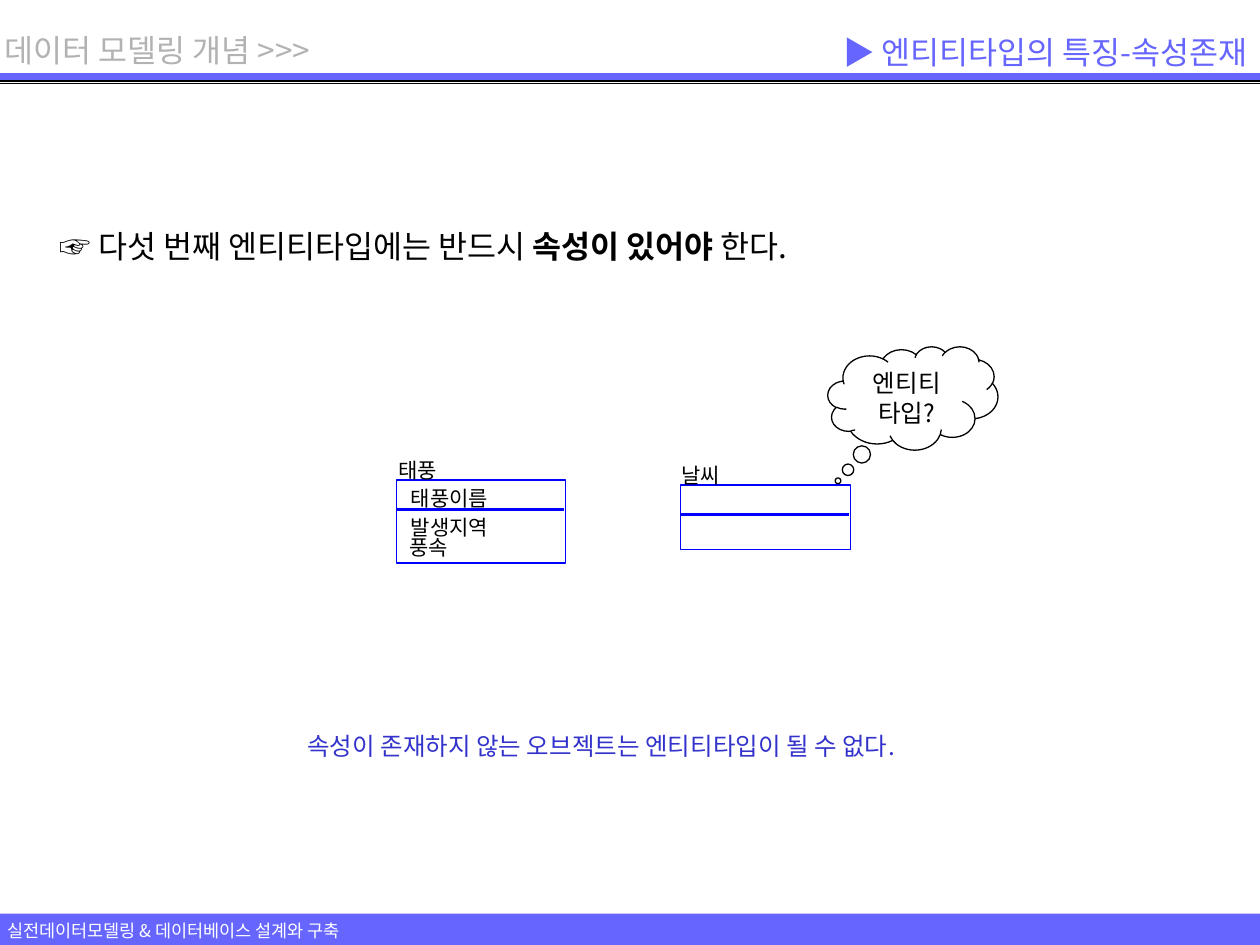
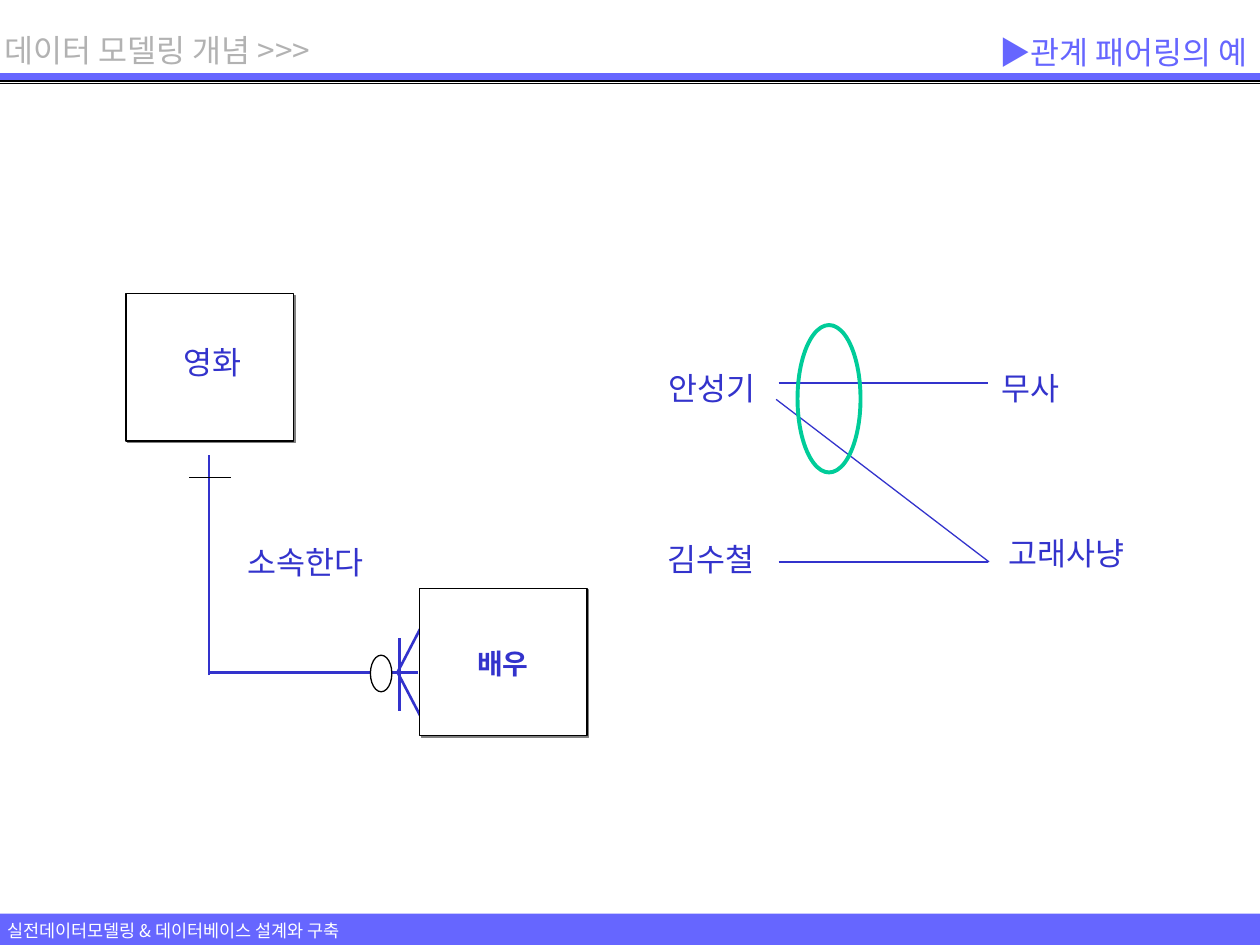
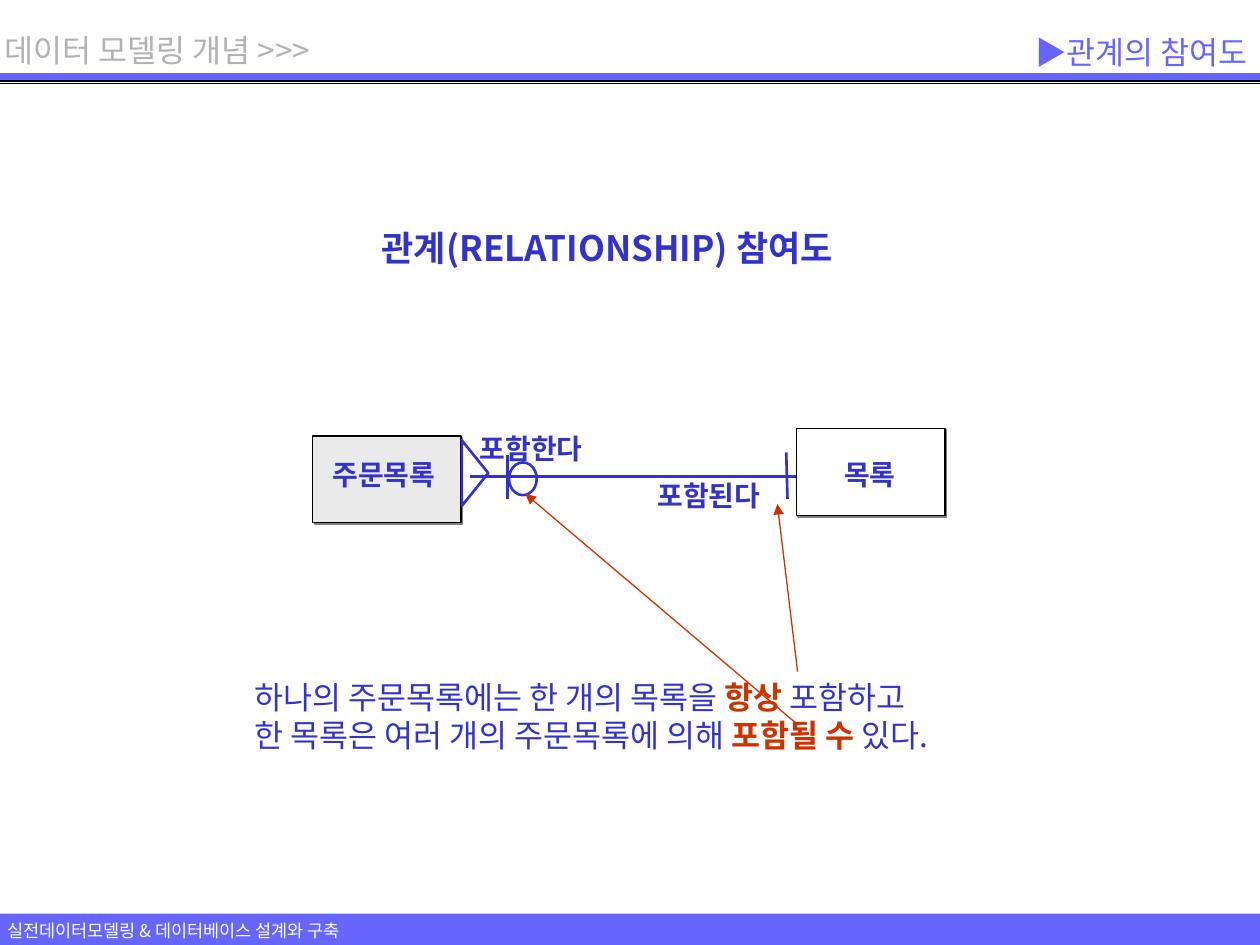
from lxml.etree import SubElement as Sub
from pptx import Presentation
from pptx.dml.color import RGBColor as Rgb
from pptx.enum.shapes import MSO_CONNECTOR as Wire, MSO_SHAPE as Form
from pptx.enum.text import MSO_ANCHOR as Anchor, MSO_AUTO_SIZE as Fit, PP_ALIGN as Align
from pptx.oxml.ns import qn
from pptx.util import Inches, Pt


class Theme:
    font = "Noto Sans CJK KR"
    band, ink, grey = "6666FF", "3333CC", "B2B2B2"
    black, white, blue = "000000", "FFFFFF", "0000FF"
    green, red, shade, pale = "00CC99", "CC3300", "808080", "EAEAEA"
    foot, label, note, name, body, head = 10, 12, 14, 16, 18, 20
    hair, thin, mid, thick = 0, 0.75, 1.5, 2.25


# Grid: 100 columns by 75 rows of square cells
deck = Presentation()
deck.slide_width, deck.slide_height = Inches(10), Inches(7.5)
COLS, ROWS = 100, 75
CELL = deck.slide_width // COLS


def box(page, form, place, *paras, fill=None, line=None, wide=Theme.thin, shade=False,
        size=Theme.body, ink=Theme.ink, strong=None, bold=False, align=Align.LEFT,
        anchor=Anchor.TOP, wrap=False, fit=Fit.SHAPE_TO_FIT_TEXT, pad=(1, 0.5), turn=0):
    """Draw a shape, or a text box if form is None; every second run is strong."""
    spot = [round(n * CELL) for n in place]
    if form is None:
        shape = page.shapes.add_textbox(*spot)
    else:
        shape = page.shapes.add_shape(form, *spot)
        shape.shadow.inherit = False
        shape.rotation = turn
        if fill:
            shape.fill.solid()
            shape.fill.fore_color.rgb = Rgb.from_string(fill)
        else:
            shape.fill.background()
        if line:
            shape.line.color.rgb = Rgb.from_string(line)
            shape.line.width = Pt(wide)
        else:
            shape.line.fill.background()
    if shade:
        effect = shape._element.spPr.find(qn("a:effectLst"))
        cast = Sub(effect, qn("a:outerShdw"), dist=str(Pt(1.4)), dir="2700000", algn="ctr", rotWithShape="0")
        Sub(cast, qn("a:srgbClr"), val=Theme.shade)
    if not paras:
        return shape
    frame = shape.text_frame
    side, top = [round(n * CELL) for n in pad]
    look = dict(margin_left=side, margin_right=side, margin_top=top, margin_bottom=top,
                word_wrap=wrap, auto_size=fit, vertical_anchor=anchor)
    for key, value in look.items():
        setattr(frame, key, value)
    for row, runs in enumerate(paras):
        para = frame.add_paragraph() if row else frame.paragraphs[0]
        para.alignment = align
        for nth, text in enumerate([runs] if isinstance(runs, str) else runs):
            run = para.add_run()
            run.text = text
            hue = strong if strong and nth % 2 else ink
            run.font.color.rgb = Rgb.from_string(hue)
            for key, value in dict(name=Theme.font, size=Pt(size), bold=bold or nth % 2 == 1).items():
                setattr(run.font, key, value)
            # Even spacing: no pair kerning
            run._r.rPr.set("kern", "0")
            Sub(run._r.rPr, qn("a:ea"), typeface=Theme.font)
    return shape


def rule(page, ends, ink=Theme.ink, wide=Theme.mid, head=False):
    """Draw a straight line, with an arrowhead at its start if asked."""
    wire = page.shapes.add_connector(Wire.STRAIGHT, *[round(n * CELL) for n in ends])
    wire.line.color.rgb = Rgb.from_string(ink)
    wire.line.width = Pt(wide)
    if head:
        Sub(wire.line._get_or_add_ln(), qn("a:headEnd"), type="triangle")
    Sub(wire._element.spPr, qn("a:effectLst"))


# Shared bands, footer and titles
titles = ["▶ 엔티티타입의 특징-속성존재", "▶관계 패어링의 예", "▶관계의 참여도"]
pages = []
for title in titles:
    page = deck.slides.add_slide(deck.slide_layouts[6])
    pages.append(page)
    for top, high in ((72.5, 2.5), (5.8, 0.6)):
        box(page, Form.RECTANGLE, (0, top, COLS, high), fill=Theme.band)
    for y in (6.38, 6.45, 6.62):
        rule(page, (0, y, COLS, y), Theme.black, Theme.thin)
    box(page, None, (-0.4, 72.5, 31.4, 2.7), "실전데이터모델링 & 데이터베이스 설계와 구축",
        size=Theme.foot, ink=Theme.white)
    box(page, None, (-0.6, 1.95, 28.4, 4), "데이터 모델링 개념 >>>", ink=Theme.grey)
    box(page, None, (COLS / 2, 1.95, COLS / 2, 4.3), title, ink=Theme.band,
        align=Align.RIGHT, anchor=Anchor.MIDDLE, fit=Fit.NONE)
trait, pair, part = pages

# Slide 1: an entity type needs attributes
box(trait, Form.RECTANGLE, (3.75, 17.5, 92.5, 4),
    ("☞ 다섯 번째 엔티티타입에는 반드시 ", "속성이 있어야", " 한다."),
    fill=Theme.white, ink=Theme.black, wrap=True)
tables = [
    ("태풍", 31.5, 38.1, 13.4, 6.6),
    ("날씨", 54, 38.5, 13.5, 5.1),
]
tag = dict(size=Theme.label, ink=Theme.black, pad=(0, 0))
for name, x, y, wide, high in tables:
    box(trait, Form.RECTANGLE, (x, y, wide, high),
        fill=Theme.white, line=Theme.blue, wide=Theme.hair)
    box(trait, None, (x + 0.1, y - 1.8, 3.4, 2), name, **tag)
    rule(trait, (x, y + 2.35, x + wide - 0.1, y + 2.35), Theme.blue, Theme.hair)
for field, x, y, wide in (("태풍이름", 32.6, 38.5, 6.5), ("발생지역", 32.6, 40.8, 6.5),
                          ("풍속", 32.5, 42.4, 3.4)):
    box(trait, None, (x, y, wide, 2), field, **tag)
cloud = box(trait, Form.CLOUD_CALLOUT, (65.7, 27.5, 13.5, 8.2), "엔티티타입?",
            fill=Theme.white, line=Theme.black, size=Theme.note, ink=Theme.black,
            align=Align.CENTER, wrap=True, fit=Fit.NONE)
for nth, value in enumerate((-0.44, 0.8)):
    cloud.adjustments[nth] = value
box(trait, None, (23.4, 57.5, 53.5, 3.4),
    "속성이 존재하지 않는 오브젝트는 엔티티타입이 될 수 없다.", size=Theme.note)

# Slide 2: relationship between film and actor
box(pair, Form.ISOSCELES_TRIANGLE, (28.3, 52.2, 8.8, 2.3), line=Theme.ink, wide=Theme.mid, turn=270)
for ends in ((16.6, 53.4, 33.2, 53.4), (31.7, 56.4, 31.7, 50.6), (16.6, 53.6, 16.6, 36.1)):
    rule(pair, ends)
rule(pair, (15, 37.9, 18.3, 37.9), Theme.black, Theme.thin)
for x, y in ((10, 23.3), (33.3, 46.7)):
    box(pair, Form.RECTANGLE, (x, y, 13.3, 11.7), fill=Theme.white, line=Theme.black, shade=True)
box(pair, Form.OVAL, (29.4, 52, 1.7, 2.9), fill=Theme.white, line=Theme.black)
box(pair, None, (36.9, 50.8, 6.5, 3.7), "배우", size=Theme.name, bold=True)

# Slide 2: paired instances
words = [
    ("영화", 13.6, 26.7, 7),
    ("소속한다", 18.7, 42.6, 11.6),
    ("고래사냥", 79.1, 41.9, 11.6),
    ("무사", 78.5, 28.8, 7),
    ("안성기", 52.1, 28.8, 9.3),
    ("김수철", 52, 42.4, 9.3),
]
for word, x, y, wide in words:
    box(pair, None, (x, y, wide, 4), word)
for ends in ((61.8, 44.6, 78.4, 44.6), (61.8, 30.4, 78.4, 30.4), (61.6, 31.7, 78.5, 44.6)):
    rule(pair, ends, wide=Theme.thin)
box(pair, Form.OVAL, (63.3, 25.8, 5, 11.7), line=Theme.green, wide=Theme.thick)

# Slide 3: heading and reading of the relationship
box(part, None, (29.3, 17.5, 41.2, 4.4), "관계(RELATIONSHIP) 참여도", size=Theme.head, bold=True)
box(part, None, (19.2, 53.3, 62.4, 7),
    ("하나의 주문목록에는 한 개의 목록을 ", "항상", " 포함하고"),
    ("한 목록은 여러 개의 주문목록에 의해 ", "포함될 수", " 있다."), strong=Theme.red)

# Slide 3: entities, crow's foot and names
for x, y, fill in ((24.8, 34.6, Theme.pale), (63.2, 34, Theme.white)):
    box(part, Form.RECTANGLE, (x, y, 11.8, 6.9), fill=fill, line=Theme.black, shade=True)
for form, place, turn in ((Form.OVAL, (40.4, 36.7, 2.2, 2.6), 180),
                          (Form.ISOSCELES_TRIANGLE, (35.1, 36.5, 5.2, 2.1), 90)):
    box(part, form, place, line=Theme.ink, wide=Theme.mid, turn=turn)
for ends in ((37.3, 37.8, 63.2, 37.8), (62.5, 39.6, 62.4, 35.9), (40.3, 39.6, 40.3, 36.1)):
    rule(part, ends)
for name, x, y, wide in (("주문목록", 25.4, 35.8, 10.6), ("포함한다", 37.1, 33.8, 10.6),
                         ("포함된다", 51.2, 37.5, 10.6), ("목록", 66, 35.8, 6.5)):
    box(part, None, (x, y, wide, 3.7), name, size=Theme.name, bold=True)

# Slide 3: arrows from the reading to the symbols
for ends in ((61.7, 40, 63.3, 53.3), (41.7, 39.2, 63.3, 57.5)):
    rule(part, ends, Theme.red, Theme.thin, head=True)

deck.save("out.pptx")
